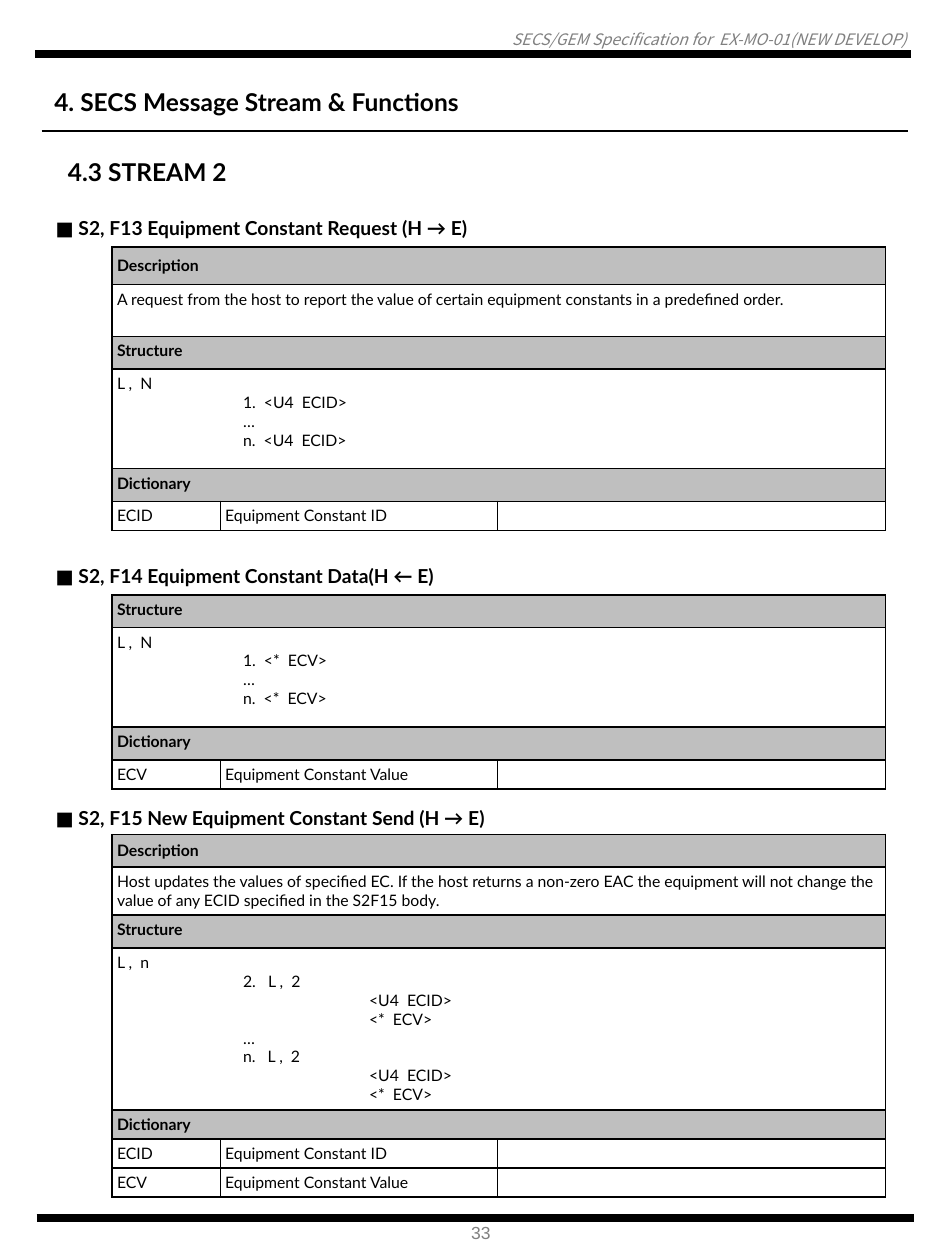
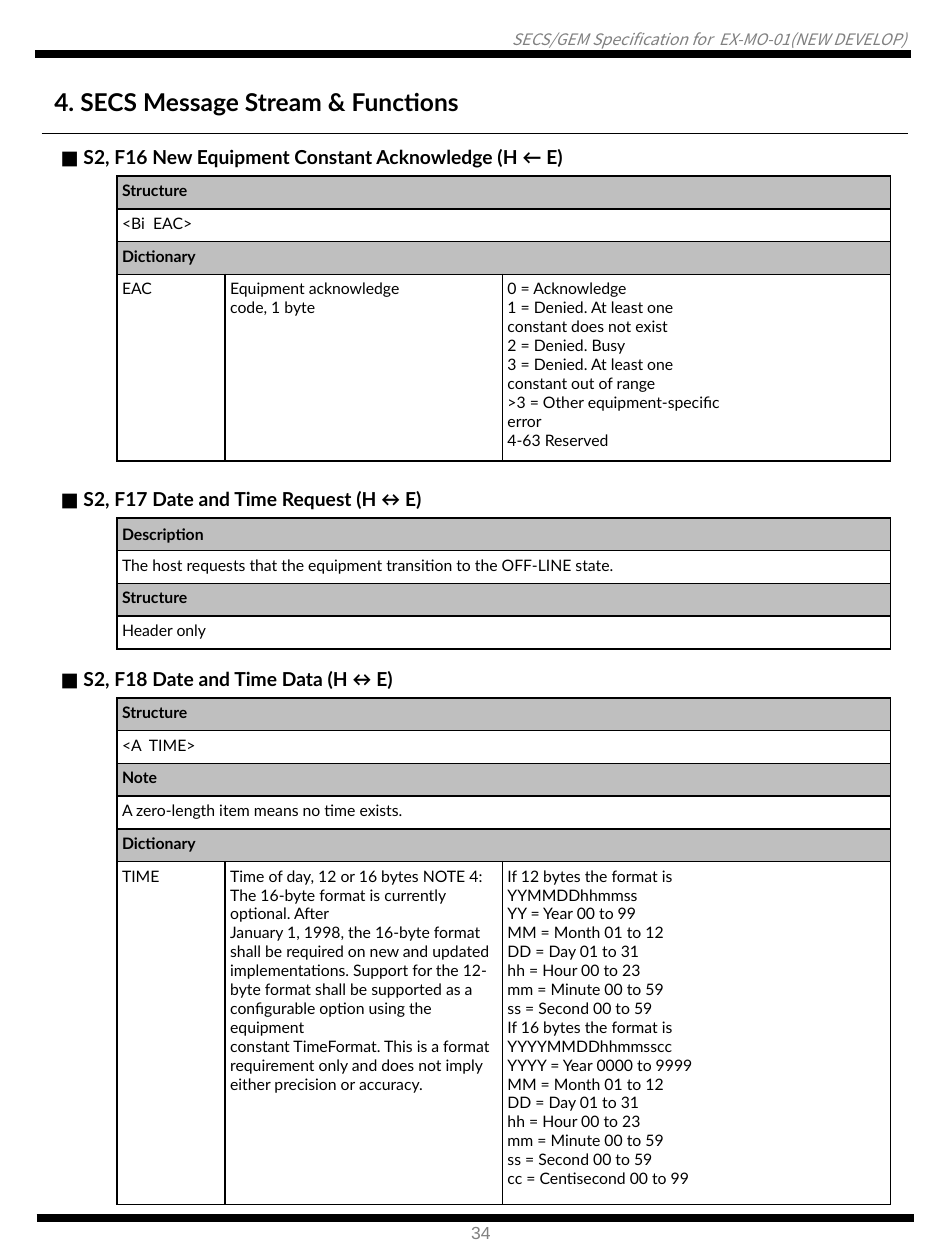
import pptx
import pptx.util
import pptx.dml.color
import pptx.enum.shapes
import pptx.enum.text
import pptx.oxml.ns
import lxml.etree

Cm = pptx.util.Cm
Pt = pptx.util.Pt
RGBColor = pptx.dml.color.RGBColor
qn = pptx.oxml.ns.qn
Align = pptx.enum.text.PP_ALIGN
Anchor = pptx.enum.text.MSO_ANCHOR

BLACK = RGBColor(0, 0, 0)
WHITE = RGBColor(255, 255, 255)
GRAY = RGBColor(128, 128, 128)
BAND = RGBColor(191, 191, 191)
FONT = "Lato"
CHAPTER = "4. SECS Message Stream & Functions"
HEADER = "SECS/GEM Specification for  EX-MO-01(NEW DEVELOP)"

# Table grid: spacer, item, meaning, values
COLUMNS = [1.24, 2.18, 5.59, 7.82]
ROW = 0.66
INDENT = 2.54
HEADINGS = ("Description", "Structure", "Note", "Dictionary")


def add_run(paragraph, text, size, bold=False, font=FONT, color=BLACK, italic=False):
    run = paragraph.add_run()
    run.text = text
    run.font.size = Pt(size)
    run.font.bold = bold
    run.font.italic = italic
    run.font.name = font
    run.font.color.rgb = color


def set_borders(cell, **colors):
    """Draw the left, right, top and bottom edges; white ones are thinner."""
    properties = cell._tc.get_or_add_tcPr()
    for position, side in enumerate("LRTB"):
        color = colors.get(side, colors["default"])
        width = Pt(0.75) if color == WHITE else Pt(1)
        line = lxml.etree.Element(qn("a:ln" + side), w=str(int(width)))
        fill = lxml.etree.SubElement(line, qn("a:solidFill"))
        lxml.etree.SubElement(fill, qn("a:srgbClr"), val=str(color))
        properties.insert(position, line)


# Each message: title, top, title row height, rows of (height, cell texts).
# A leading tab in a line stands for one indent level.
stream_messages = [
    ("■ S2, F13 Equipment Constant Request (H → E)", 4.22, 0.76, [
        (0.76, ["Description"]),
        (1.04, ["A request from the host to report the value of certain equipment "
                "constants in a predefined order."]),
        (ROW, ["Structure"]),
        (2.01, ["L ,  N\n\t1.  <U4  ECID>\n\t…\n\tn.  <U4  ECID>"]),
        (ROW, ["Dictionary"]),
        (0.58, ["ECID", "Equipment Constant ID", ""]),
    ]),
    ("■ S2, F14 Equipment Constant Data(H ← E)", 11.23, 0.76, [
        (ROW, ["Structure"]),
        (2.01, ["L ,  N\n\t1.  <*  ECV>\n\t…\n\tn.  <*  ECV>"]),
        (ROW, ["Dictionary"]),
        (0.58, ["ECV", "Equipment Constant Value", ""]),
    ]),
    ("■ S2, F15 New Equipment Constant Send (H → E)", 16.15, 0.67, [
        (ROW, ["Description"]),
        (0.97, ["Host updates the values of specified EC. If the host returns a "
                "non-zero EAC the equipment will not change the value of any ECID "
                "specified in the S2F15 body."]),
        (ROW, ["Structure"]),
        (3.27, ["L ,  n\n\t2.   L ,  2\n\t\t<U4  ECID>\n\t\t<*  ECV>\n\t…\n"
                "\tn.   L ,  2\n\t\t<U4  ECID>\n\t\t<*  ECV>"]),
        (0.58, ["Dictionary"]),
        (0.58, ["ECID", "Equipment Constant ID", ""]),
        (0.58, ["ECV", "Equipment Constant Value", ""]),
    ]),
]
time_messages = [
    ("■ S2, F16 New Equipment Constant Acknowledge (H ← E)", 2.79, 0.76, [
        (ROW, ["Structure"]),
        (ROW, ["<Bi  EAC>"]),
        (ROW, ["Dictionary"]),
        (3.76, ["EAC", "Equipment acknowledge\ncode, 1 byte",
                "0 = Acknowledge\n1 = Denied. At least one\nconstant does not exist\n"
                "2 = Denied. Busy\n3 = Denied. At least one\nconstant out of range\n"
                ">3 = Other equipment-specific\nerror\n4-63 Reserved"]),
    ]),
    ("■ S2, F17 Date and Time Request (H ↔ E)", 9.68, 0.76, [
        (ROW, ["Description"]),
        (ROW, ["The host requests that the equipment transition to the OFF-LINE state."]),
        (ROW, ["Structure"]),
        (ROW, ["Header only"]),
    ]),
    ("■ S2, F18 Date and Time Data (H ↔ E)", 13.31, 0.76, [
        (ROW, ["Structure"]),
        (ROW, ["<A  TIME>"]),
        (ROW, ["Note"]),
        (ROW, ["A zero-length item means no time exists."]),
        (ROW, ["Dictionary"]),
        (6.91, ["TIME",
                "Time of day, 12 or 16 bytes NOTE 4: The 16-byte format is currently "
                "optional. After\nJanuary 1, 1998, the 16-byte format shall be required "
                "on new and updated implementations. Support for the 12-byte format "
                "shall be supported as a configurable option using the equipment\n"
                "constant TimeFormat. This is a format requirement only and does not "
                "imply either precision or accuracy.",
                "If 12 bytes the format is\nYYMMDDhhmmss\nYY = Year 00 to 99\n"
                "MM = Month 01 to 12\nDD = Day 01 to 31\nhh = Hour 00 to 23\n"
                "mm = Minute 00 to 59\nss = Second 00 to 59\n"
                "If 16 bytes the format is\nYYYYMMDDhhmmsscc\n"
                "YYYY = Year 0000 to 9999\nMM = Month 01 to 12\nDD = Day 01 to 31\n"
                "hh = Hour 00 to 23\nmm = Minute 00 to 59\nss = Second 00 to 59\n"
                "cc = Centisecond 00 to 99"]),
    ]),
]
# Page number, section, title rule height, left edge of tables, messages
pages = [
    ("33", "4.3 STREAM 2", 2.64, 1.02, stream_messages),
    ("34", None, 2.69, 1.12, time_messages),
]

presentation = pptx.Presentation()
presentation.slide_width = Cm(19.05)
presentation.slide_height = Cm(25.4)

for number, section, rule_top, table_left, messages in pages:
    slide = presentation.slides.add_slide(presentation.slide_layouts[5])

    # Chapter title
    title = slide.shapes.title
    title.left, title.top, title.width, title.height = Cm(0.84), Cm(1.63), Cm(9.8), Cm(0.86)
    title.text_frame.word_wrap = False
    title.text_frame.vertical_anchor = Anchor.TOP
    title.text_frame.paragraphs[0].alignment = Align.LEFT
    add_run(title.text_frame.paragraphs[0], CHAPTER, 14, bold=True)

    # Header and footer bars, rule under the title
    for left, right, top, weight in [(0.71, 18.36, 1.09, 4.75),
                                     (0.74, 18.42, 24.56, 4.75),
                                     (0.84, 18.31, rule_top, 0.75)]:
        line = slide.shapes.add_connector(pptx.enum.shapes.MSO_CONNECTOR.STRAIGHT,
                                          Cm(left), Cm(top), Cm(right), Cm(top))
        line.line.color.rgb = BLACK
        line.line.width = Pt(weight)
        lxml.etree.SubElement(line._element.spPr, qn("a:effectLst"))

    # Running header, page number, section heading
    header_box = slide.shapes.add_textbox(Cm(0.13), Cm(0.61), Cm(18.14), Cm(0.38))
    header = header_box.text_frame
    header.word_wrap = True
    header.margin_left = header.margin_top = header.margin_right = header.margin_bottom = 0
    header.paragraphs[0].alignment = Align.RIGHT
    add_run(header.paragraphs[0], HEADER, 9, font="Noto Sans CJK KR", color=GRAY, italic=True)

    number_box = slide.shapes.add_textbox(Cm(9.25), Cm(24.51), Cm(0.94), Cm(0.69))
    number_box.text_frame.word_wrap = False
    add_run(number_box.text_frame.paragraphs[0], number, 10, font="Arial", color=GRAY)

    if section:
        section_box = slide.shapes.add_textbox(Cm(1.12), Cm(3.05), Cm(3.99), Cm(0.86))
        section_box.text_frame.word_wrap = False
        add_run(section_box.text_frame.paragraphs[0], section, 14, bold=True)

    # One table for each message
    for message, top, title_height, rows in messages:
        has_entries = len(rows[-1][1]) > 1
        widths = COLUMNS if has_entries else [COLUMNS[0], sum(COLUMNS[1:])]
        heights = [title_height] + [height for height, texts in rows]
        last_column, last_row = len(widths) - 1, len(rows)
        table = slide.shapes.add_table(len(heights), len(widths), Cm(table_left), Cm(top),
                                       Cm(sum(widths)), Cm(sum(heights))).table
        table.first_row = table.horz_banding = False
        for column, width in zip(table.columns, widths):
            column.width = Cm(width)
        for row, height in zip(table.rows, heights):
            row.height = Cm(height)

        contents = [[message]] + [[""] + texts for height, texts in rows]
        for row_index, texts in enumerate(contents):
            is_title = row_index == 0
            is_heading = not is_title and texts[1] in HEADINGS
            size = 11 if is_title else 9
            for column_index in range(len(widths)):
                cell = table.cell(row_index, column_index)
                cell.margin_left = cell.margin_right = Cm(0.1)
                cell.margin_top = cell.margin_bottom = Cm(0.1)
                if is_title or (is_heading and texts[1] == "Description"):
                    cell.vertical_anchor = Anchor.MIDDLE
                if is_heading and column_index > 0:
                    cell.fill.solid()
                    cell.fill.fore_color.rgb = BAND
                else:
                    cell.fill.background()
                if is_title:
                    set_borders(cell, default=WHITE)
                elif column_index == 0:
                    set_borders(cell, default=WHITE, R=BLACK)
                else:
                    set_borders(cell, default=BLACK)

                text = texts[column_index] if column_index < len(texts) else ""
                for line_index, words in enumerate(text.split("\n")):
                    frame = cell.text_frame
                    paragraph = frame.add_paragraph() if line_index else frame.paragraphs[0]
                    level = words.count("\t")
                    if level:
                        paragraph._p.get_or_add_pPr().set("marL", str(int(Cm(INDENT * level))))
                    if words:
                        add_run(paragraph, words.strip("\t"), size, bold=is_title or is_heading)
                    else:
                        lxml.etree.SubElement(paragraph._p, qn("a:endParaRPr"), sz=str(size * 100))

            # Full-width rows
            if is_title:
                table.cell(0, 0).merge(table.cell(0, last_column))
            elif has_entries and len(texts) == 2:
                table.cell(row_index, 1).merge(table.cell(row_index, last_column))

        # Spacer beside the dictionary
        if has_entries:
            dictionary_row = contents.index(["", "Dictionary"])
            table.cell(dictionary_row, 0).merge(table.cell(last_row, 0))

presentation.save("out.pptx")
